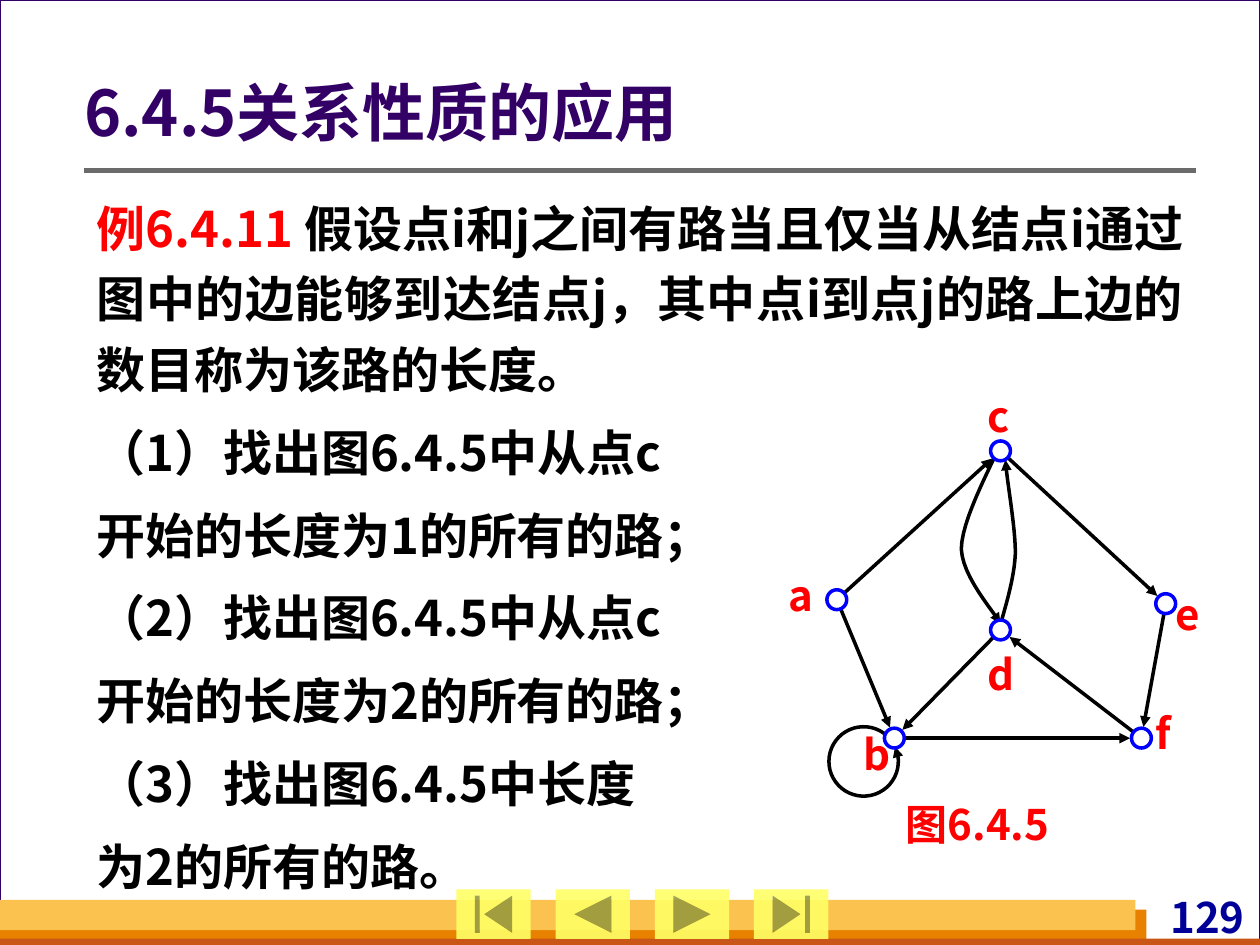
from math import cos, hypot, radians, sin

from lxml import etree
from pptx import Presentation
from pptx.dml.color import RGBColor
from pptx.enum.shapes import MSO_CONNECTOR, MSO_SHAPE
from pptx.enum.text import MSO_ANCHOR, PP_ALIGN
from pptx.oxml.ns import qn
from pptx.util import Cm, Pt

RECTANGLE, OVAL = MSO_SHAPE.RECTANGLE, MSO_SHAPE.OVAL
STRAIGHT = MSO_CONNECTOR.STRAIGHT
LEFT, RIGHT, JUSTIFY = PP_ALIGN.LEFT, PP_ALIGN.RIGHT, PP_ALIGN.JUSTIFY
TOP, MIDDLE = MSO_ANCHOR.TOP, MSO_ANCHOR.MIDDLE
FONT = "Noto Sans CJK SC"

WHITE = RGBColor(0xFF, 0xFF, 0xFF)
BLACK = RGBColor(0, 0, 0)
RED = RGBColor(0xFF, 0, 0)
BLUE = RGBColor(0, 0, 0xFF)
NAVY = RGBColor(0, 0, 0x99)
PURPLE = RGBColor(0x33, 0, 0x66)
GREY = RGBColor(0x6B, 0x6B, 0x6B)
YELLOW = RGBColor(0xFF, 0xFF, 0x66)
ORANGE = RGBColor(0xE8, 0x80, 0)
RUST = RGBColor(0xC9, 0x56, 0x16)
GOLD = RGBColor(0xFC, 0xC2, 0x4F)

TITLE = "6.4.5关系性质的应用"
BODY = [
    [("例6.4.11 ", RED),
     ("假设点i和j之间有路当且仅当从结点i通过图中的边能够到达结点j，"
      "其中点i到点j的路上边的数目称为该路的长度。", BLACK)],
    [("（1）找出图6.4.5中从点c", BLACK)],
    [("开始的长度为1的所有的路；", BLACK)],
    [("（2）找出图6.4.5中从点c", BLACK)],
    [("开始的长度为2的所有的路；", BLACK)],
    [("（3）找出图6.4.5中长度", BLACK)],
    [("为2的所有的路。", BLACK)],
]
PAGE_NUMBER = "129"
CAPTION = "图6.4.5"

BARS = [
    (0, 18.34, 23.11, 0.71, ORANGE),
    (0, 18.92, 25.4, 0.13, RUST),
    (0, 18.14, 22.89, 0.61, GOLD),
]
BUTTONS = [
    MSO_SHAPE.ACTION_BUTTON_BEGINNING,
    MSO_SHAPE.ACTION_BUTTON_BACK_OR_PREVIOUS,
    MSO_SHAPE.ACTION_BUTTON_FORWARD_OR_NEXT,
    MSO_SHAPE.ACTION_BUTTON_END,
]
NODES = {
    "a": (16.87, 12.09), "b": (18.03, 14.88), "c": (20.17, 9.09),
    "d": (20.17, 12.7), "e": (23.5, 12.17), "f": (23.01, 14.88),
}
LABELS = {
    "a": (15.9, 11.48), "b": (17.4, 14.68), "c": (19.91, 7.87),
    "d": (19.91, 13.08), "e": (23.7, 11.86), "f": (23.29, 14.27),
}
EDGES = ["ac", "ab", "ce", "ef", "fd", "db", "bf"]
CURVES = [
    [(20.07, 9.17), (19.94, 9.47), (19.38, 10.52), (19.38, 11.07),
     (19.41, 11.63), (19.99, 12.27), (20.17, 12.57)],
    [(20.17, 12.6), (20.22, 12.37), (20.45, 11.71), (20.47, 11.15),
     (20.47, 10.59), (20.29, 9.65), (20.27, 9.27)],
]
LOOP_CENTER, LOOP_RADIUS = (17.41, 15.35), 0.7
LOOP_START, LOOP_END = -33, -385
NODE_RADIUS, TIP_GAP = 0.2, 0.23


def add_shape(slide, kind, box, fill, line=None, width=0.75):
    shape = slide.shapes.add_shape(kind, *map(Cm, box))
    shape.shadow.inherit = False
    shape.fill.solid()
    shape.fill.fore_color.rgb = fill
    if line is None:
        shape.line.fill.background()
    else:
        shape.line.color.rgb = line
        shape.line.width = Pt(width)
    return shape


def add_text(slide, box, paragraphs, size, alignment=JUSTIFY, anchor=TOP,
             margins=(0, 0, 0, 0), spacing=None, before=0):
    frame = slide.shapes.add_textbox(*map(Cm, box)).text_frame
    frame.word_wrap = True
    frame.vertical_anchor = anchor
    (frame.margin_left, frame.margin_top,
     frame.margin_right, frame.margin_bottom) = map(Cm, margins)
    for index, pieces in enumerate(paragraphs):
        paragraph = frame.add_paragraph() if index else frame.paragraphs[0]
        paragraph.alignment = alignment
        paragraph.line_spacing = spacing
        if index:
            paragraph.space_before = Pt(before)
        paragraph.font.size = Pt(size)
        paragraph.font.bold = True
        paragraph.font.name = FONT
        defaults = paragraph._p.get_or_add_pPr().find(qn("a:defRPr"))
        etree.SubElement(defaults, qn("a:ea"), typeface=FONT)
        for text, color in pieces:
            run = paragraph.add_run()
            run.text = text
            run.font.color.rgb = color


def add_line(slide, start, end, color, width):
    line = slide.shapes.add_connector(STRAIGHT, *map(Cm, (*start, *end)))
    line.line.color.rgb = color
    line.line.width = Pt(width)
    etree.SubElement(line._element.spPr, qn("a:effectLst"))
    return line


def add_arrowhead(shape):
    etree.SubElement(shape.line._get_or_add_ln(), qn("a:tailEnd"), type="triangle")


def add_edge(slide, start, end):
    (x1, y1), (x2, y2) = start, end
    ratio = 1 - TIP_GAP / hypot(x2 - x1, y2 - y1)
    tip = (x1 + (x2 - x1) * ratio, y1 + (y2 - y1) * ratio)
    add_arrowhead(add_line(slide, start, tip, BLACK, 2))


def add_curve(slide, points):
    points = [(Cm(x), Cm(y)) for x, y in points]
    builder = slide.shapes.build_freeform(*points[0])
    builder.add_line_segments(points[1:], close=False)
    shape = builder.convert_to_shape()
    shape.shadow.inherit = False
    shape.fill.background()
    shape.line.color.rgb = BLACK
    shape.line.width = Pt(2)
    add_arrowhead(shape)


def bezier(controls, steps=12):
    for step in range(steps + 1):
        t = step / steps
        weights = ((1 - t) ** 3, 3 * t * (1 - t) ** 2, 3 * t * t * (1 - t), t ** 3)
        yield tuple(sum(w * p[axis] for w, p in zip(weights, controls))
                    for axis in (0, 1))


def arc(center, radius, start, end, steps=48):
    for step in range(steps + 1):
        angle = radians(start + (end - start) * step / steps)
        yield center[0] + radius * cos(angle), center[1] + radius * sin(angle)


def add_frame(slide):
    add_shape(slide, RECTANGLE, (0, 0, 25.4, 19.05), WHITE, PURPLE)
    for *box, color in BARS:
        add_shape(slide, RECTANGLE, box, color)
    add_text(slide, (21.51, 17.98, 3.68, 1.02), [[(PAGE_NUMBER, NAVY)]], 24,
             RIGHT, margins=(0.1, 0, 0.1, 0))
    add_line(slide, (1.7, 3.43), (24.1, 3.43), GREY, 3)
    for index, kind in enumerate(BUTTONS):
        button = add_shape(slide, kind, (9.2 + 2 * index, 17.93, 1.5, 1), YELLOW)
        color = button.fill._xPr.find(".//" + qn("a:srgbClr"))
        etree.SubElement(color, qn("a:alpha"), val="90000")


def add_graph(slide):
    add_curve(slide, arc(LOOP_CENTER, LOOP_RADIUS, LOOP_START, LOOP_END))
    for controls in CURVES:
        add_curve(slide, [*bezier(controls[:4]), *list(bezier(controls[3:]))[1:]])
    for start, end in EDGES:
        add_edge(slide, NODES[start], NODES[end])
    for name, position in LABELS.items():
        add_text(slide, (*position, 0.6, 1.02), [[(name, RED)]], 24)
    add_text(slide, (18.26, 16.1, 3.68, 1.02), [[(CAPTION, RED)]], 24)
    for x, y in NODES.values():
        box = (x - NODE_RADIUS, y - NODE_RADIUS, 2 * NODE_RADIUS, 2 * NODE_RADIUS)
        add_shape(slide, OVAL, box, WHITE, BLUE, 2)


def main():
    presentation = Presentation()
    presentation.slide_width, presentation.slide_height = Cm(25.4), Cm(19.05)
    slide = presentation.slides.add_slide(presentation.slide_layouts[6])
    add_frame(slide)
    add_text(slide, (1.7, 3.63, 22.4, 14.55), BODY, 28,
             margins=(0.25, 0.13, 0.25, 0.13), spacing=1.2, before=7)
    add_text(slide, (1.7, 1.52, 22.4, 1.63), [[(TITLE, PURPLE)]], 36, LEFT,
             MIDDLE, (0, 0.13, 0.25, 0.13), 0.9)
    add_graph(slide)
    presentation.save("out.pptx")


if __name__ == "__main__":
    main()
